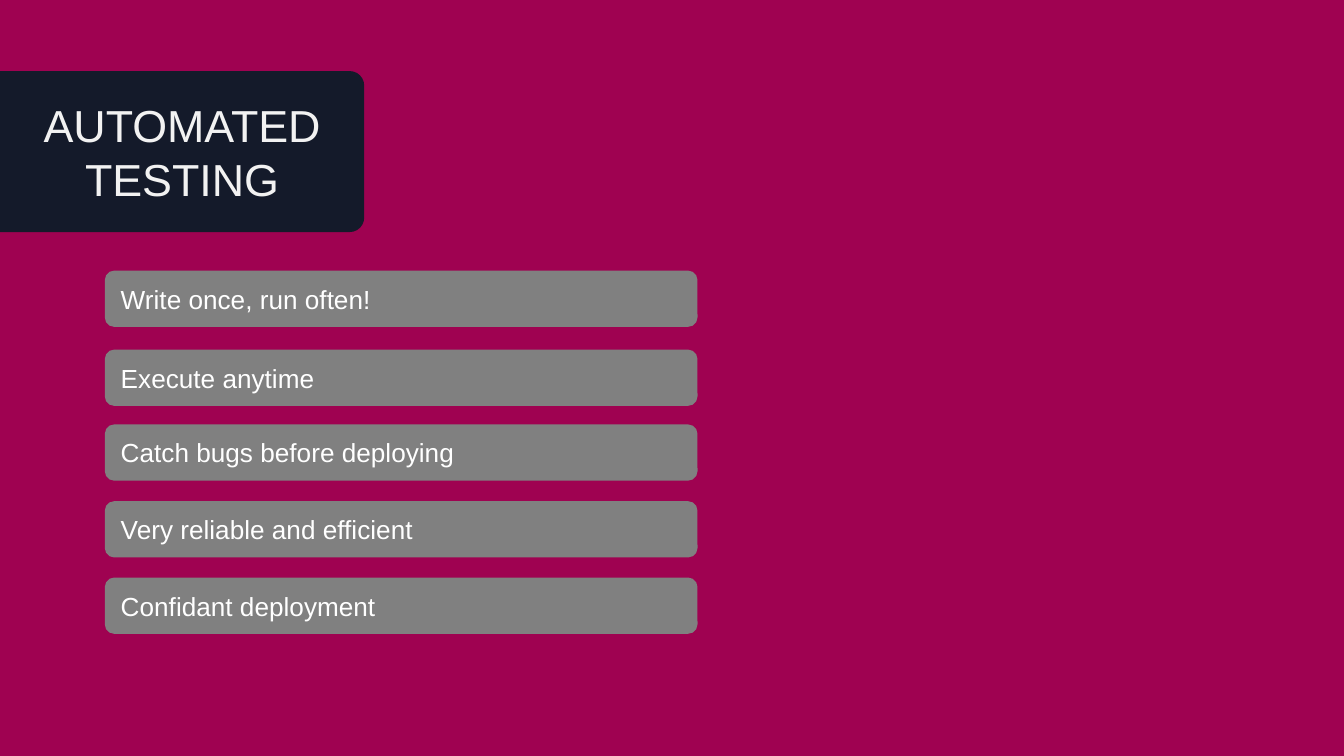
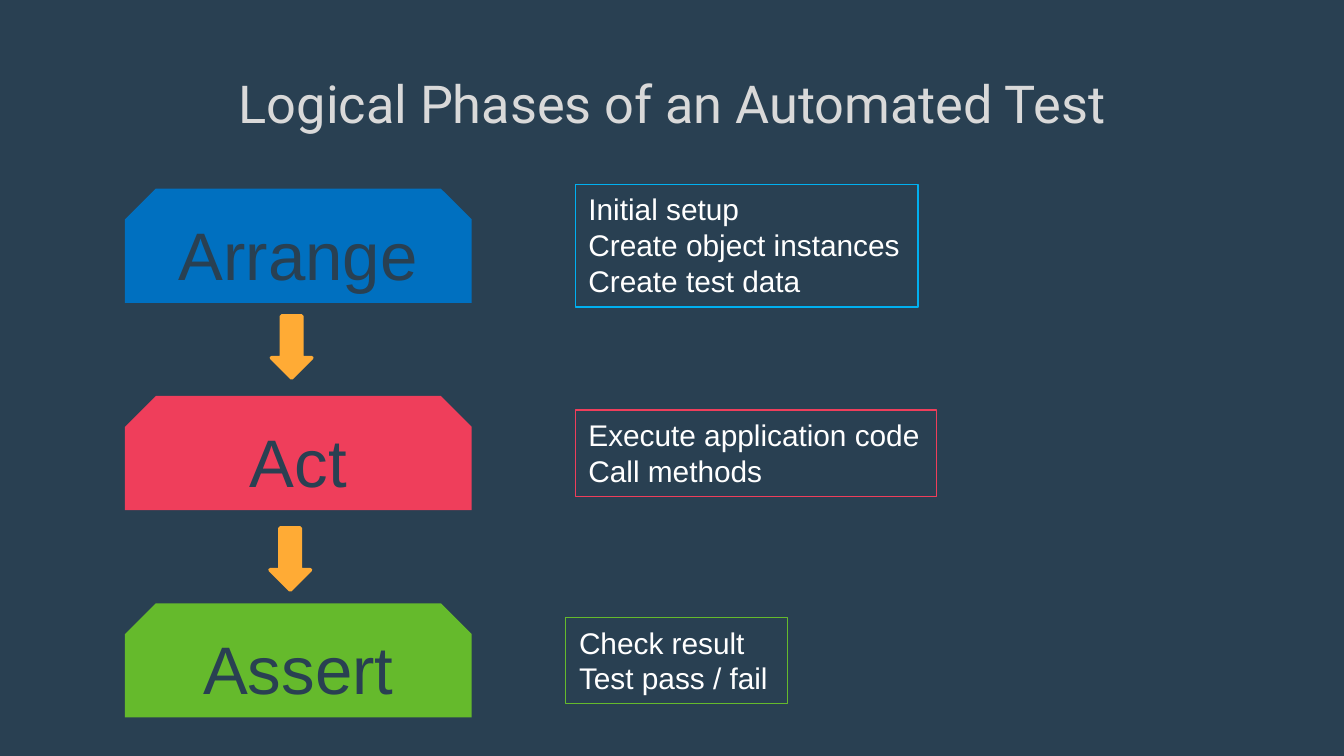
from pptx import Presentation
from pptx.dml.color import RGBColor
from pptx.enum.shapes import MSO_SHAPE as Shape
from pptx.enum.text import MSO_ANCHOR as Anchor, PP_ALIGN as Align
from pptx.util import Inches, Pt

WHITE = RGBColor(0xFF, 0xFF, 0xFF)
MAGENTA = RGBColor(0x9F, 0x02, 0x51)
MIDNIGHT = RGBColor(0x14, 0x1A, 0x2A)
PALE = RGBColor(0xF2, 0xF2, 0xF2)
GREY = RGBColor(0x80, 0x80, 0x80)
SLATE = RGBColor(0x29, 0x40, 0x52)
SILVER = RGBColor(0xD9, 0xD9, 0xD9)
BLUE = RGBColor(0x00, 0x70, 0xC0)
SKY = RGBColor(0x00, 0xB0, 0xF0)
RED = RGBColor(0xEF, 0x3E, 0x5B)
GREEN = RGBColor(0x65, 0xBA, 0x2C)
ORANGE = RGBColor(0xFF, 0xAB, 0x35)

deck = Presentation()
deck.slide_width = Inches(10)
deck.slide_height = deck.slide_width * 9 // 16
COL = deck.slide_width / 100
ROW = deck.slide_height / 100


def add_block(slide, kind, left, top, width, height, fill=None, line=None, weight=0.75, adjust=()):
    block = slide.shapes.add_shape(
        kind, int(left * COL), int(top * ROW), int(width * COL), int(height * ROW))
    block.shadow.inherit = False
    if fill is None:
        block.fill.background()
    else:
        block.fill.solid()
        block.fill.fore_color.rgb = fill
    if line is None:
        block.line.fill.background()
    else:
        block.line.color.rgb = line
        block.line.width = Pt(weight)
    for index, value in enumerate(adjust):
        block.adjustments[index] = value
    return block


def write(block, text, size, color, font="Arial", align=Align.LEFT,
          anchor=Anchor.MIDDLE, wrap=True):
    frame = block.text_frame
    frame.word_wrap = wrap
    frame.vertical_anchor = anchor
    frame.text = text
    for paragraph in frame.paragraphs:
        paragraph.alignment = align
        for run in paragraph.runs:
            run.font.name = font
            run.font.size = Pt(size)
            run.font.color.rgb = color


blank = deck.slide_layouts[6]
benefits, phases = deck.slides.add_slide(blank), deck.slides.add_slide(blank)
for slide, backdrop in ((benefits, MAGENTA), (phases, SLATE)):
    slide.background.fill.solid()
    slide.background.fill.fore_color.rgb = backdrop

add_block(benefits, Shape.ROUNDED_RECTANGLE, -3.4, 9.4, 30.5, 21.3, MIDNIGHT, adjust=[0.09])
heading = benefits.shapes.add_textbox(
    int(1.7 * COL), int(12.1 * ROW), int(23.7 * COL), int(16.2 * ROW))
write(heading, "AUTOMATED TESTING", 24, PALE, align=Align.CENTER, anchor=Anchor.TOP)

for top, benefit in (
        (35.8, "Write once, run often!"),
        (46.25, "Execute anytime"),
        (56.15, "Catch bugs before deploying"),
        (66.3, "Very reliable and efficient"),
        (76.4, "Confidant deployment")):
    bar = add_block(benefits, Shape.ROUNDED_RECTANGLE, 7.8, top, 44.1, 7.45, GREY)
    write(bar, benefit, 14, WHITE)

heading = phases.shapes.add_textbox(0, int(8.5 * ROW), deck.slide_width, int(10.15 * ROW))
write(heading, "Logical Phases of an Automated Test", 28, SILVER, font="Roboto",
      align=Align.CENTER, anchor=Anchor.TOP)

for step, (phase, fill) in enumerate((("Arrange", BLUE), ("Act", RED), ("Assert", GREEN))):
    card = add_block(phases, Shape.SNIP_2_SAME_RECTANGLE, 9.3, 24.95 + 27.43 * step,
                     25.8, 15.1, fill, adjust=[0.27, 0])
    write(card, phase, 36, SLATE, align=Align.CENTER)

for left, top in ((20.2, 41.8), (20.1, 69.85)):
    add_block(phases, Shape.DOWN_ARROW, left, top, 3, 8.2, ORANGE, ORANGE, 2)

for left, top, width, height, outline, details in (
        (42.8, 24.4, 25.5, 16.2, SKY, "Initial setup\nCreate object instances\nCreate test data"),
        (42.8, 54.25, 26.9, 11.4, RED, "Execute application code\nCall methods"),
        (42.1, 81.7, 16.5, 11.4, GREEN, "Check result\nTest pass / fail")):
    note = add_block(phases, Shape.RECTANGLE, left, top, width, height, line=outline)
    write(note, details, 16, WHITE, anchor=Anchor.TOP, wrap=False)

deck.save("out.pptx")
